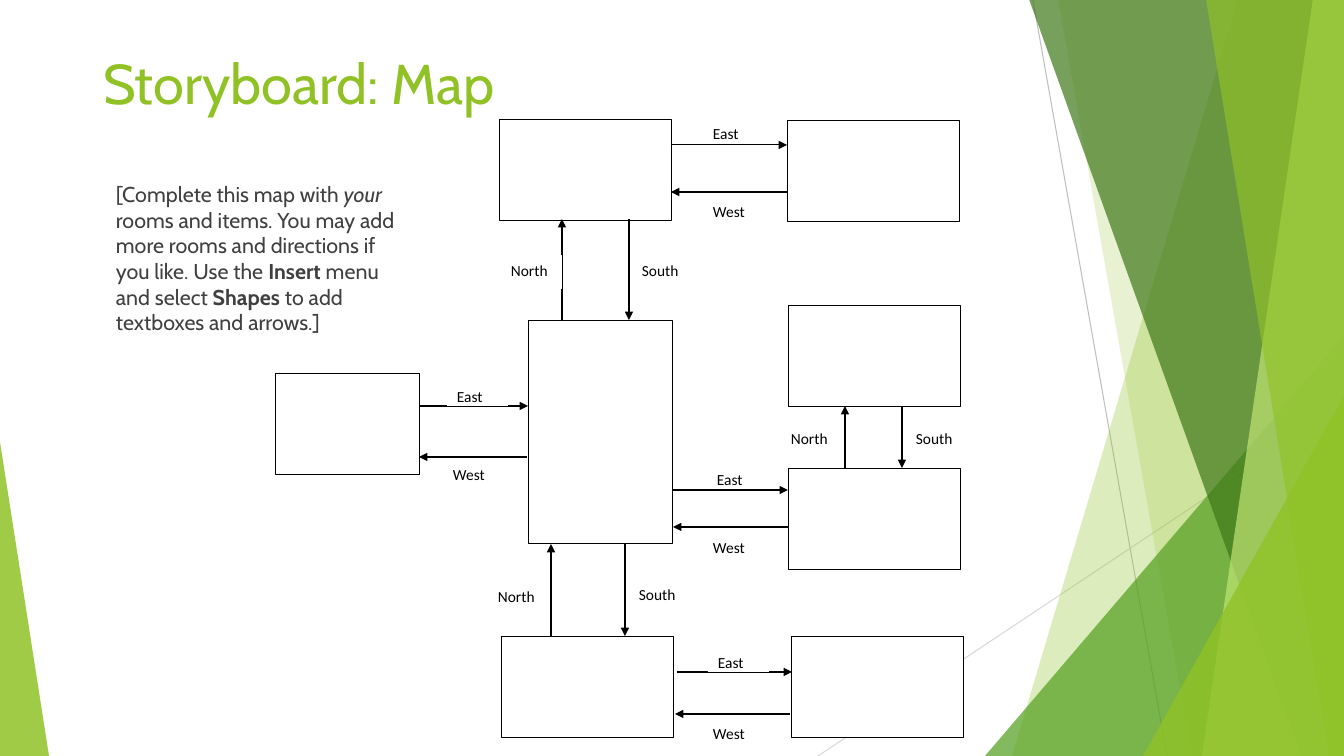
from lxml import etree
from pptx import Presentation
from pptx import util as u
from pptx.dml.color import RGBColor
from pptx.enum import shapes, text
from pptx.oxml.ns import qn

PX = 914400 / 100.8  # EMU in one px
SLIDE_W, SLIDE_H = 1344, 756

GREEN = RGBColor(0x90, 0xC2, 0x26)
MID_GREEN = RGBColor(0x54, 0xA0, 0x21)
DARK_GREEN = RGBColor(0x3F, 0x78, 0x19)
PALE_GREEN = RGBColor(0xC0, 0xE4, 0x74)
GREY = RGBColor(0xBF, 0xBF, 0xBF)
LIGHT_GREY = RGBColor(0xD9, 0xD9, 0xD9)
TEXT_GREY = RGBColor(0x40, 0x40, 0x40)
BLACK = RGBColor(0, 0, 0)
WHITE = RGBColor(0xFF, 0xFF, 0xFF)

# Background facets: left edge at top and at bottom, colour, opacity %
BACK_FACETS = [(1238, 1012, GREEN, 30), (1058, 1192, GREEN, 20)]
FRONT_FACETS = [(1029, 1301, DARK_GREEN, 70), (1313, 1202, PALE_GREEN, 70),
                (1206, 1329, GREEN, 65)]

# Rooms: left, top, width, height
ROOMS = [
    (499, 119, 172, 101), (787, 120, 172, 101), (788, 305, 172, 101),
    (788, 468, 172, 101), (791, 636, 172, 101), (275, 373, 144, 101),
    (501, 636, 172, 101), (528, 320, 144, 223),
]

# Passages: direction, arrow start, arrow end, label corner, line width
PASSAGES = [
    ("East", (671, 145), (787, 145), (703, 118), 0.75),
    ("West", (787, 192), (671, 192), (703, 196), 1),
    ("North", (562, 320), (562, 219), (501, 255), 1),
    ("South", (629, 219), (629, 320), (632, 255), 1),
    ("East", (419, 406), (528, 406), (447, 381), 1),
    ("West", (527, 457), (419, 457), (443, 459), 1),
    ("East", (673, 490), (788, 490), (707, 464), 0.75),
    ("West", (788, 527), (673, 527), (703, 532), 1),
    ("North", (845, 468), (845, 406), (781, 423), 1),
    ("South", (902, 406), (902, 468), (906, 423), 1),
    ("North", (551, 636), (551, 544), (488, 581), 1),
    ("South", (625, 543), (625, 636), (629, 579), 1),
    ("East", (677, 672), (792, 672), (708, 647), 0.75),
    ("West", (790, 714), (675, 714), (703, 718), 1),
]

HINT = [
    ("[Complete this map with ", ""), ("your", "italic"),
    (" rooms and items. You may add more rooms and directions if you like. "
     "Use the ", ""),
    ("Insert", "bold"), (" menu and select ", ""), ("Shapes", "bold"),
    (" to add textboxes and arrows.]", ""),
]


def px(*lengths):
    return [u.Emu(round(n * PX)) for n in lengths]


def paint(sp, color, opacity=100):
    sp.shadow.inherit = False
    sp.line.fill.background()
    sp.fill.solid()
    sp.fill.fore_color.rgb = color
    if opacity < 100:
        clr = sp._element.spPr.find(qn("a:solidFill"))[0]
        etree.SubElement(clr, qn("a:alpha"), val=str(opacity * 1000))


def add_run(p, words, size, font, color, style=""):
    r = p.add_run()
    r.text = words
    r.font.size = u.Pt(size)
    r.font.name = font
    r.font.color.rgb = color
    r.font.bold = style == "bold"
    r.font.italic = style == "italic"


def add_line(s, start, end, color, width, arrow=False):
    line = s.shapes.add_connector(shapes.MSO_CONNECTOR.STRAIGHT,
                                  *px(*start, *end))
    line.line.color.rgb = color
    line.line.width = u.Pt(width)
    sp_pr = line._element.spPr
    if arrow:
        etree.SubElement(sp_pr.find(qn("a:ln")), qn("a:tailEnd"),
                         type="triangle")
    etree.SubElement(sp_pr, qn("a:effectLst"))


def add_facet(s, top_x, bottom_x, color, opacity):
    outline = s.shapes.build_freeform(top_x, -1, scale=PX)
    outline.add_line_segments(
        [(SLIDE_W, -1), (SLIDE_W, SLIDE_H), (bottom_x, SLIDE_H)], close=True)
    paint(outline.convert_to_shape(), color, opacity)


def add_corner(s, left, top, width, apex, color, opacity):
    sp = s.shapes.add_shape(shapes.MSO_SHAPE.ISOSCELES_TRIANGLE,
                            *px(left, top, width, SLIDE_H - top))
    sp.adjustments[0] = apex
    paint(sp, color, opacity)


def add_backdrop(s):
    add_line(s, (1033, 0), (1167, SLIDE_H), GREY, 0.75)
    add_line(s, (SLIDE_W, 406), (818, SLIDE_H), LIGHT_GREY, 0.75)
    for facet in BACK_FACETS:
        add_facet(s, *facet)
    add_corner(s, 985, 336, 359, 1, MID_GREEN, 72)
    for facet in FRONT_FACETS:
        add_facet(s, *facet)
    add_corner(s, 1143, 396, 201, 1, GREEN, 80)
    add_corner(s, 0, 442, 49, 0, GREEN, 85)


def add_title(s, words):
    title = s.shapes.title
    title.left, title.top, title.width, title.height = px(93, 43, 877, 162)
    tf = title.text_frame
    tf.vertical_anchor = text.MSO_ANCHOR.TOP
    p = tf.paragraphs[0]
    p.alignment = text.PP_ALIGN.LEFT
    add_run(p, words, 40, "Cabin", GREEN)


def add_hint(s):
    tf = s.shapes.add_textbox(*px(106, 176, 309, 159)).text_frame
    tf.word_wrap = True
    for words, style in HINT:
        add_run(tf.paragraphs[0], words, 15.3, "Cabin", TEXT_GREY, style)


def add_room(s, *box):
    sp = s.shapes.add_shape(shapes.MSO_SHAPE.RECTANGLE, *px(*box))
    paint(sp, WHITE)
    sp.line.color.rgb = BLACK
    sp.line.width = u.Pt(0.5)


def add_passage(s, direction, start, end, corner, width):
    add_line(s, start, end, BLACK, width, arrow=True)
    height = 25 if direction in ("East", "West") else 34
    label = s.shapes.add_shape(shapes.MSO_SHAPE.RECTANGLE,
                               *px(*corner, 61, height))
    paint(label, WHITE)
    tf = label.text_frame
    tf.word_wrap = True
    tf.vertical_anchor = text.MSO_ANCHOR.TOP
    p = tf.paragraphs[0]
    p.alignment = text.PP_ALIGN.LEFT
    p.line_spacing = 1.07
    p.space_after = u.Pt(8)
    add_run(p, direction, 11, "Calibri", BLACK)


def main():
    prs = Presentation()
    prs.slide_width, prs.slide_height = px(SLIDE_W, SLIDE_H)
    s = prs.slides.add_slide(prs.slide_layouts[5])
    add_backdrop(s)
    add_title(s, "Storyboard: Map")
    add_hint(s)
    # Map
    for room in ROOMS:
        add_room(s, *room)
    for passage in PASSAGES:
        add_passage(s, *passage)
    prs.save("out.pptx")


if __name__ == "__main__":
    main()
